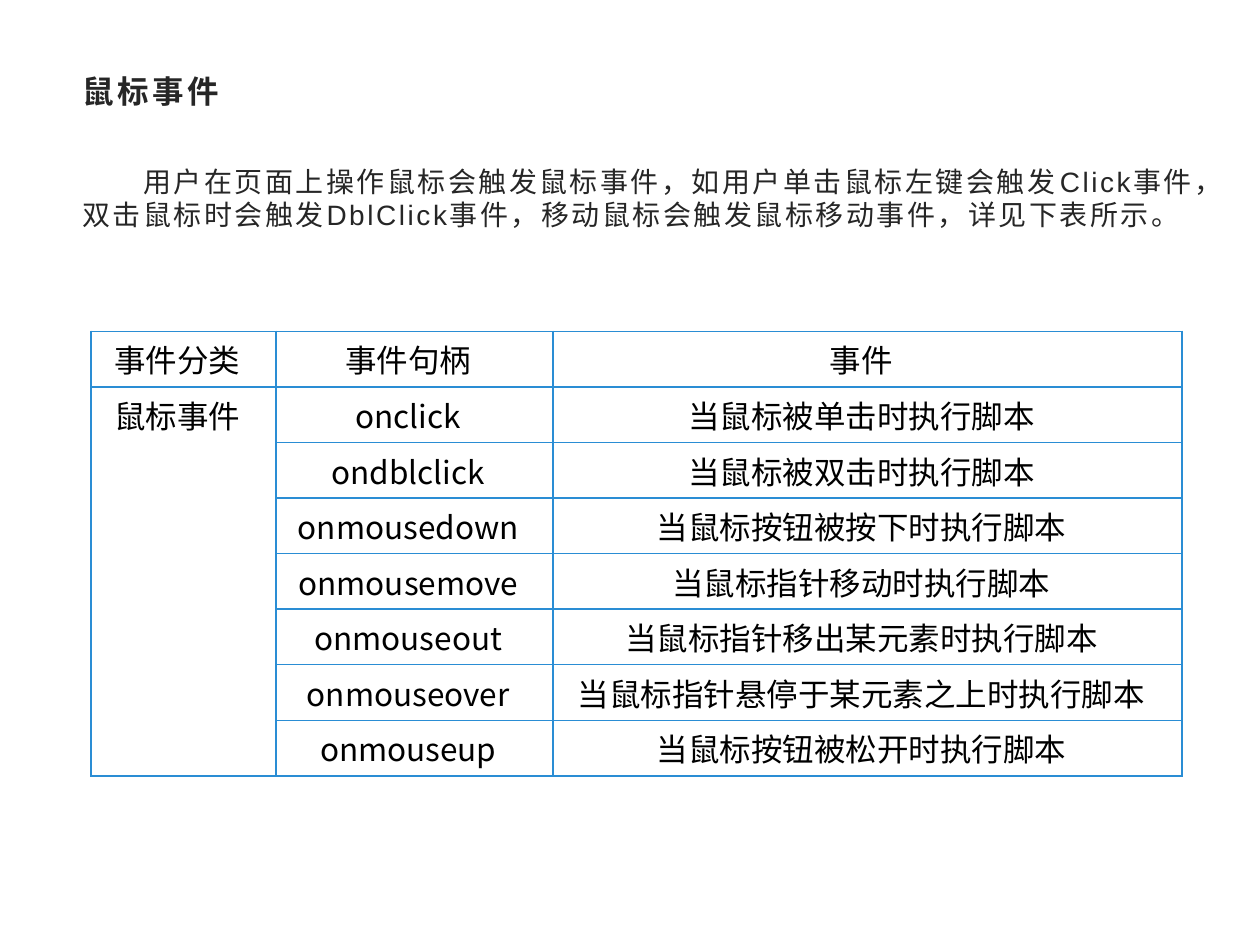
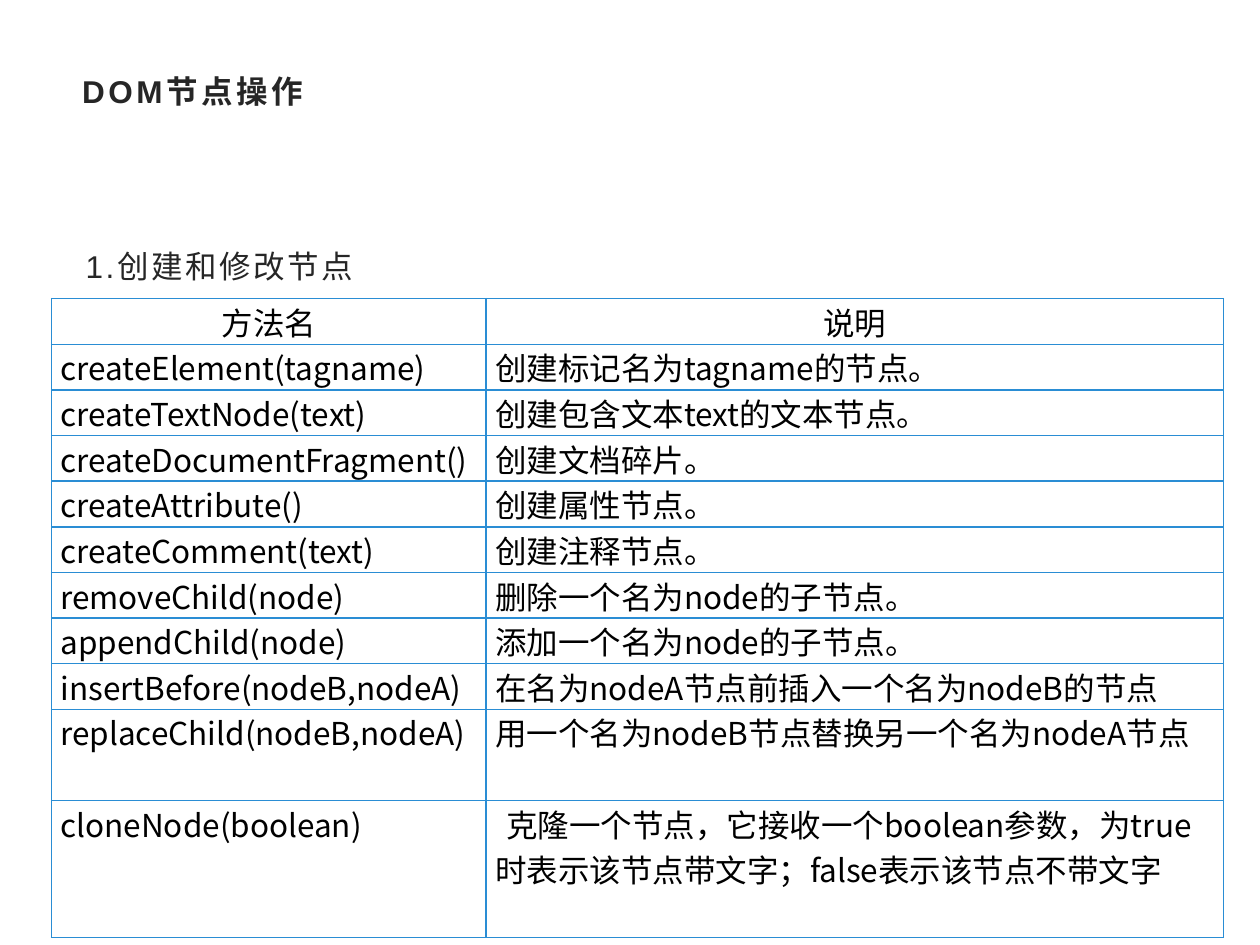
from dataclasses import dataclass

from lxml.etree import SubElement
from pptx import Presentation
from pptx.dml.color import RGBColor
from pptx.enum.text import MSO_ANCHOR, MSO_AUTO_SIZE, PP_ALIGN
from pptx.oxml.ns import qn
from pptx.util import Cm, Pt


@dataclass(frozen=True)
class Theme:
    ink: RGBColor = RGBColor(0x26, 0x26, 0x26)
    table_ink: RGBColor = RGBColor(0, 0, 0)
    grid: str = "2A8DD4"
    text_font: str = "Arial"
    table_font: str = "Noto Sans CJK SC"
    large: int = 18
    body: int = 16
    grid_width: int = Pt(1)
    title_tracking: float = 2
    body_tracking: float = 1.5


THEME = Theme()

MOUSE_INTRO = (
    "用户在页面上操作鼠标会触发鼠标事件，如用户单击鼠标左键会触发Click事件，"
    "双击鼠标时会触发DblClick事件，移动鼠标会触发鼠标移动事件，详见下表所示。"
)
MOUSE_EVENTS = [
    ("事件分类", "事件句柄", "事件"),
    ("鼠标事件", "onclick", "当鼠标被单击时执行脚本"),
    ("", "ondblclick", "当鼠标被双击时执行脚本"),
    ("", "onmousedown", "当鼠标按钮被按下时执行脚本"),
    ("", "onmousemove", "当鼠标指针移动时执行脚本"),
    ("", "onmouseout", "当鼠标指针移出某元素时执行脚本"),
    ("", "onmouseover", "当鼠标指针悬停于某元素之上时执行脚本"),
    ("", "onmouseup", "当鼠标按钮被松开时执行脚本"),
]
NODE_METHODS = [
    ("方法名", "说明"),
    ("createElement(tagname)", "创建标记名为tagname的节点。"),
    ("createTextNode(text)", "创建包含文本text的文本节点。"),
    ("createDocumentFragment()", "创建文档碎片。"),
    ("createAttribute()", "创建属性节点。"),
    ("createComment(text)", "创建注释节点。"),
    ("removeChild(node)", "删除一个名为node的子节点。"),
    ("appendChild(node)", "添加一个名为node的子节点。"),
    ("insertBefore(nodeB,nodeA)", "在名为nodeA节点前插入一个名为nodeB的节点"),
    ("replaceChild(nodeB,nodeA)", "用一个名为nodeB节点替换另一个名为nodeA节点"),
    ("cloneNode(boolean)",
     "克隆一个节点，它接收一个boolean参数，为true时表示该节点带文字；"
     "false表示该节点不带文字"),
]


# Text formatting
def style_runs(paragraph, font, size, color, bold=False, tracking=0):
    for run in paragraph.runs:
        run.font.size = Pt(size)
        run.font.bold = bold
        run.font.color.rgb = color
        run.font.name = font
        properties = run._r.get_or_add_rPr()
        SubElement(properties, qn("a:ea"), typeface=font)
        if tracking:
            properties.set("spc", str(round(tracking * 100)))


def set_indent(paragraph, left, first_line):
    properties = paragraph._p.get_or_add_pPr()
    properties.set("marL", str(left))
    properties.set("indent", str(first_line))
    return properties


def fill_placeholder(placeholder, text, box, anchor):
    placeholder.left, placeholder.top, placeholder.width, placeholder.height = map(Cm, box)
    frame = placeholder.text_frame
    frame.text = text
    frame.word_wrap = True
    frame.auto_size = MSO_AUTO_SIZE.NONE
    frame.vertical_anchor = anchor
    paragraph = frame.paragraphs[0]
    paragraph.alignment = PP_ALIGN.LEFT
    paragraph.space_before = Pt(0)
    return paragraph


# Slide with the shared title
def add_titled_slide(deck, title):
    slide = deck.slides.add_slide(deck.slide_layouts[1])
    heading = fill_placeholder(slide.shapes.title, title,
                               (1.4, 1.22, 22.6, 1.22), MSO_ANCHOR.MIDDLE)
    style_runs(heading, THEME.text_font, THEME.large, THEME.ink,
               bold=True, tracking=THEME.title_tracking)
    return slide


def add_body(slide, text, box, size, left=0, first_line=0, line_spacing=1.0):
    body = fill_placeholder(slide.placeholders[1], text, box, MSO_ANCHOR.TOP)
    body.space_after = Pt(10)
    body.line_spacing = line_spacing
    SubElement(set_indent(body, Cm(left), Cm(first_line)), qn("a:buNone"))
    style_runs(body, THEME.text_font, size, THEME.ink, tracking=THEME.body_tracking)


# Tables
def outline_cell(cell):
    properties = cell._tc.get_or_add_tcPr()
    for side in ("lnL", "lnR", "lnT", "lnB"):
        line = SubElement(properties, qn(f"a:{side}"), w=str(THEME.grid_width))
        SubElement(SubElement(line, qn("a:solidFill")), qn("a:srgbClr"), val=THEME.grid)
    cell.fill.background()


def add_grid_table(slide, rows, box, widths, margins, centre_all):
    table = slide.shapes.add_table(len(rows), len(widths), *map(Cm, box)).table
    table.first_row = table.horz_banding = False
    for column, width in zip(table.columns, widths):
        column.width = Cm(width)
    for row_index, row in enumerate(rows):
        for column_index, text in enumerate(row):
            cell = table.cell(row_index, column_index)
            (cell.margin_left, cell.margin_top,
             cell.margin_right, cell.margin_bottom) = map(Cm, margins)
            cell.text_frame.text = text
            paragraph = cell.text_frame.paragraphs[0]
            centred = centre_all or row_index == 0
            paragraph.alignment = PP_ALIGN.CENTER if centred else PP_ALIGN.LEFT
            style_runs(paragraph, THEME.table_font, THEME.large, THEME.table_ink)
            outline_cell(cell)
    return table


def build_mouse_events(deck):
    slide = add_titled_slide(deck, "鼠标事件")
    add_body(slide, MOUSE_INTRO, (1.4, 3.18, 23.7, 3), THEME.body, first_line=1.23)
    events = add_grid_table(slide, MOUSE_EVENTS, (1.83, 6.68, 22, 7.8),
                            (3.73, 5.59, 12.68), (0, 0.1, 0.25, 0.1), centre_all=True)
    events.cell(1, 0).merge(events.cell(len(MOUSE_EVENTS) - 1, 0))


def build_node_operations(deck):
    slide = add_titled_slide(deck, "DOM节点操作")
    add_body(slide, "1.创建和修改节点", (1.47, 4.62, 23.55, 0.91), THEME.large,
             left=0.48, first_line=-0.48, line_spacing=1.3)
    methods = add_grid_table(slide, NODE_METHODS, (1.04, 6.02, 23.62, 9.9),
                             (8.76, 14.86), (0.18, 0, 0.18, 0), centre_all=False)
    clone_note = methods.cell(len(NODE_METHODS) - 1, 1).text_frame.paragraphs[0]
    set_indent(clone_note, 0, Cm(0.23))


def main():
    deck = Presentation()
    deck.slide_width, deck.slide_height = Cm(25.4), Cm(19.05)
    build_mouse_events(deck)
    build_node_operations(deck)
    deck.save("out.pptx")


if __name__ == "__main__":
    main()
